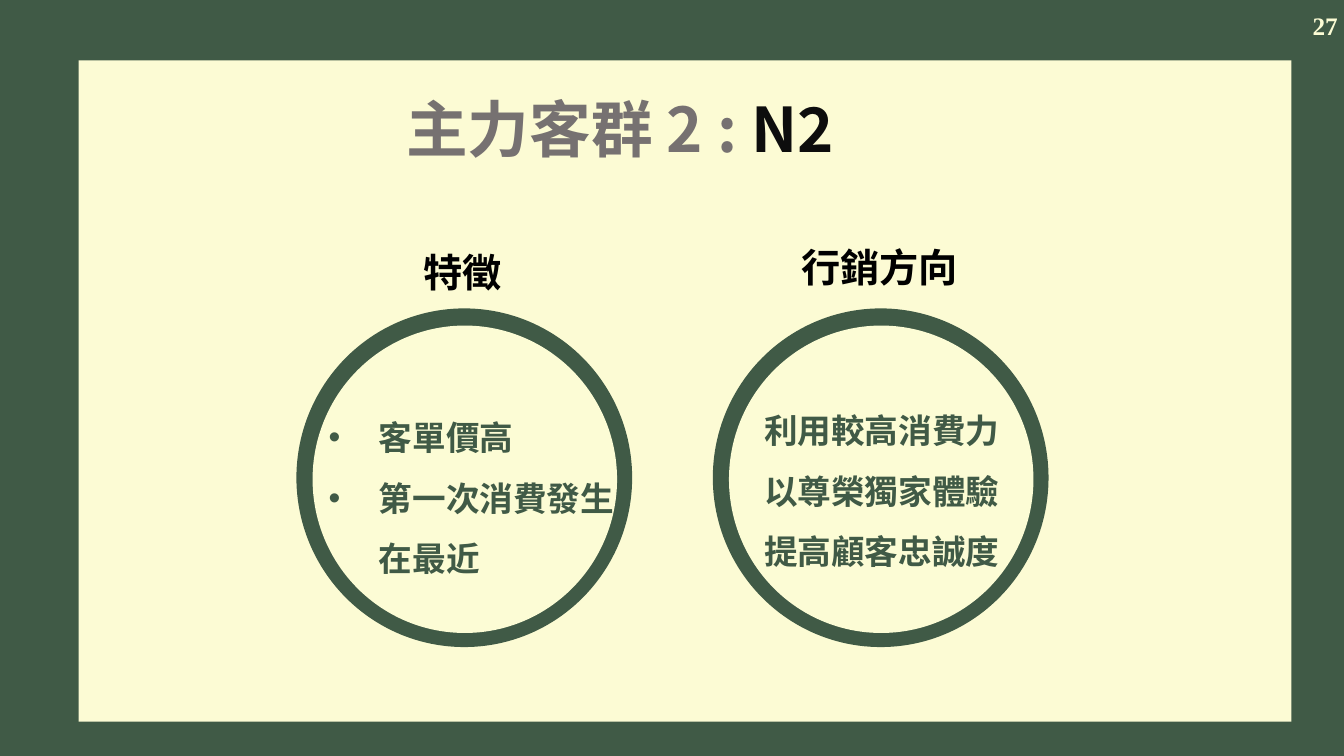
from pptx import Presentation
from pptx.dml.color import RGBColor
from pptx.enum.shapes import MSO_SHAPE
from pptx.enum.text import MSO_ANCHOR, PP_ALIGN
from pptx.oxml.ns import qn
from pptx.util import Inches
from pptx.util import Pt
from lxml.etree import SubElement

GREEN = "405A46"
CREAM = "FCFBD4"
DISC = "FCFCD5"
SANS = "Noto Sans CJK TC"


def color(value):
    return RGBColor.from_string(value)


def place(sp, x, y, w, h):
    sp.left, sp.top, sp.width, sp.height = [Inches(v) for v in (x, y, w, h)]


def style_run(r, size, fill, font=SANS):
    r.font.size = Pt(size)
    r.font.bold = True
    r.font.name = font
    r.font.color.rgb = color(fill)
    SubElement(r._r.get_or_add_rPr(), qn("a:ea")).set("typeface", font)


def add_bullet(p):
    pPr = p._p.get_or_add_pPr()
    pPr.set("marL", str(Inches(0.5)))
    pPr.set("indent", str(Inches(-0.5)))
    SubElement(pPr, qn("a:buFont")).set("typeface", "Arial")
    SubElement(pPr, qn("a:buChar")).set("char", "•")


def add_solid(s, kind, box, fill):
    sp = s.shapes.add_shape(kind, *[Inches(v) for v in box])
    sp.shadow.inherit = False
    sp.fill.solid()
    sp.fill.fore_color.rgb = color(fill)
    sp.line.fill.background()
    return sp


def add_text(s, box, lines, size, fill, font=SANS, align=PP_ALIGN.LEFT,
             spacing=1.0, bullets=False, wrap=True):
    sp = s.shapes.add_textbox(*[Inches(v) for v in box])
    tf = sp.text_frame
    tf.word_wrap = wrap
    tf.text = "\n".join(lines)
    for p in tf.paragraphs:
        p.alignment = align
        p.line_spacing = spacing
        if bullets:
            add_bullet(p)
        style_run(p.runs[0], size, fill, font)


def add_title(s, panel):
    title = s.shapes.title
    panel.element.addnext(title.element)
    place(title, 3.93, 0.85, 5.47, 0.84)
    tf = title.text_frame
    tf.vertical_anchor = MSO_ANCHOR.TOP
    p = tf.paragraphs[0]
    p.alignment = PP_ALIGN.LEFT
    p.line_spacing = 1.0
    for text, fill in (("主力客群 2 : ", "767171"), ("N2", "0D0D0D")):
        r = p.add_run()
        r.text = text
        style_run(r, 44, fill)


def add_ring(s, x):
    add_solid(s, MSO_SHAPE.OVAL, (x, 3.06, 3.33, 3.36), GREEN)
    add_solid(s, MSO_SHAPE.OVAL, (x + 0.16, 3.23, 3.02, 3.05), DISC)


def main():
    prs = Presentation()
    prs.slide_width, prs.slide_height = Inches(13.33), Inches(7.5)
    s = prs.slides.add_slide(prs.slide_layouts[5])
    s.background.fill.solid()
    s.background.fill.fore_color.rgb = color(GREEN)

    panel = add_solid(s, MSO_SHAPE.RECTANGLE, (0.78, 0.6, 12.03, 6.56), CREAM)
    add_title(s, panel)

    add_ring(s, 2.94)
    add_text(s, (3.16, 3.89, 3.08, 1.84), ["客單價高", "第一次消費發生在最近"],
             24, GREEN, spacing=1.5, bullets=True)
    add_text(s, (4.1, 2.41, 1.01, 0.57), ["特徵"], 28, "000000")

    add_ring(s, 7.07)
    add_text(s, (7.31, 3.82, 2.87, 1.84),
             ["利用較高消費力", "以尊榮獨家體驗", "提高顧客忠誠度"],
             24, GREEN, align=PP_ALIGN.CENTER, spacing=1.5)
    add_text(s, (7.85, 2.36, 1.77, 0.57), ["行銷方向"], 28, "000000")

    add_text(s, (12.92, 0.05, 0.45, 0.4), ["27"], 18, DISC,
             font="Times New Roman", wrap=False)
    prs.save("out.pptx")


if __name__ == "__main__":
    main()
